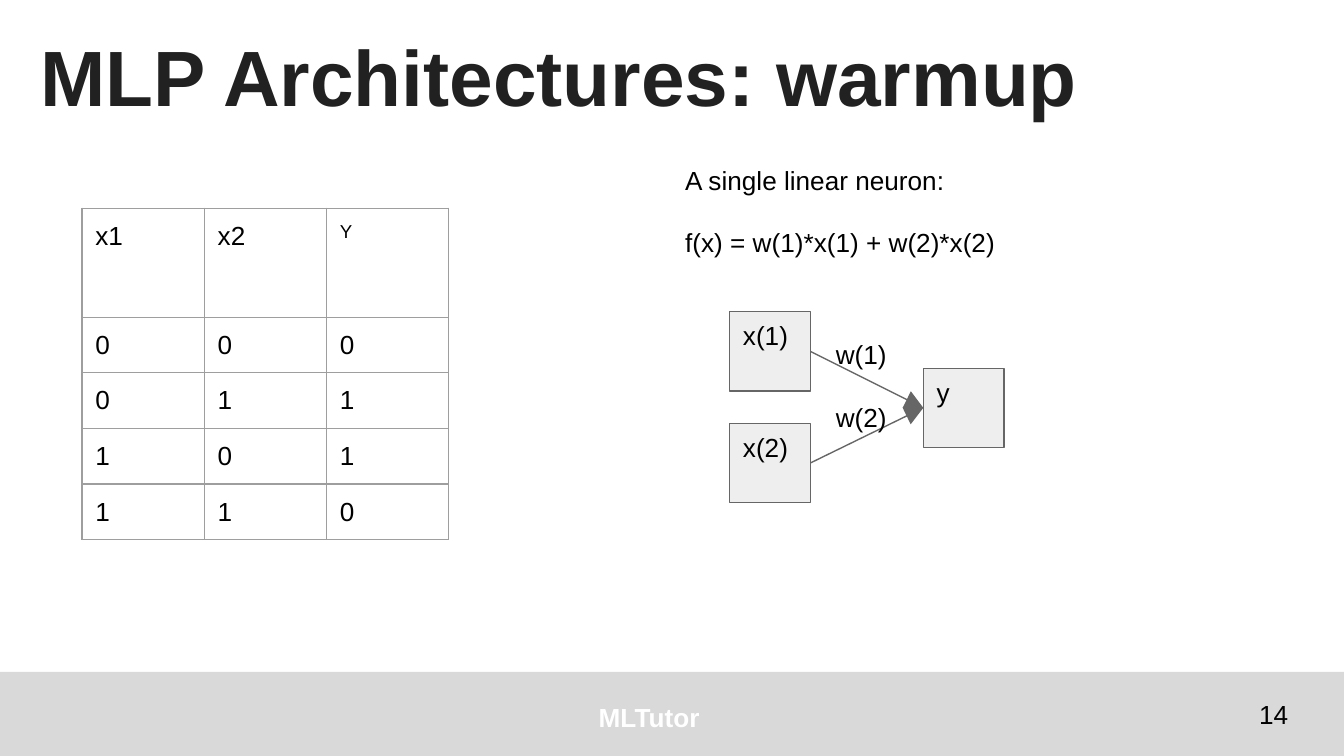
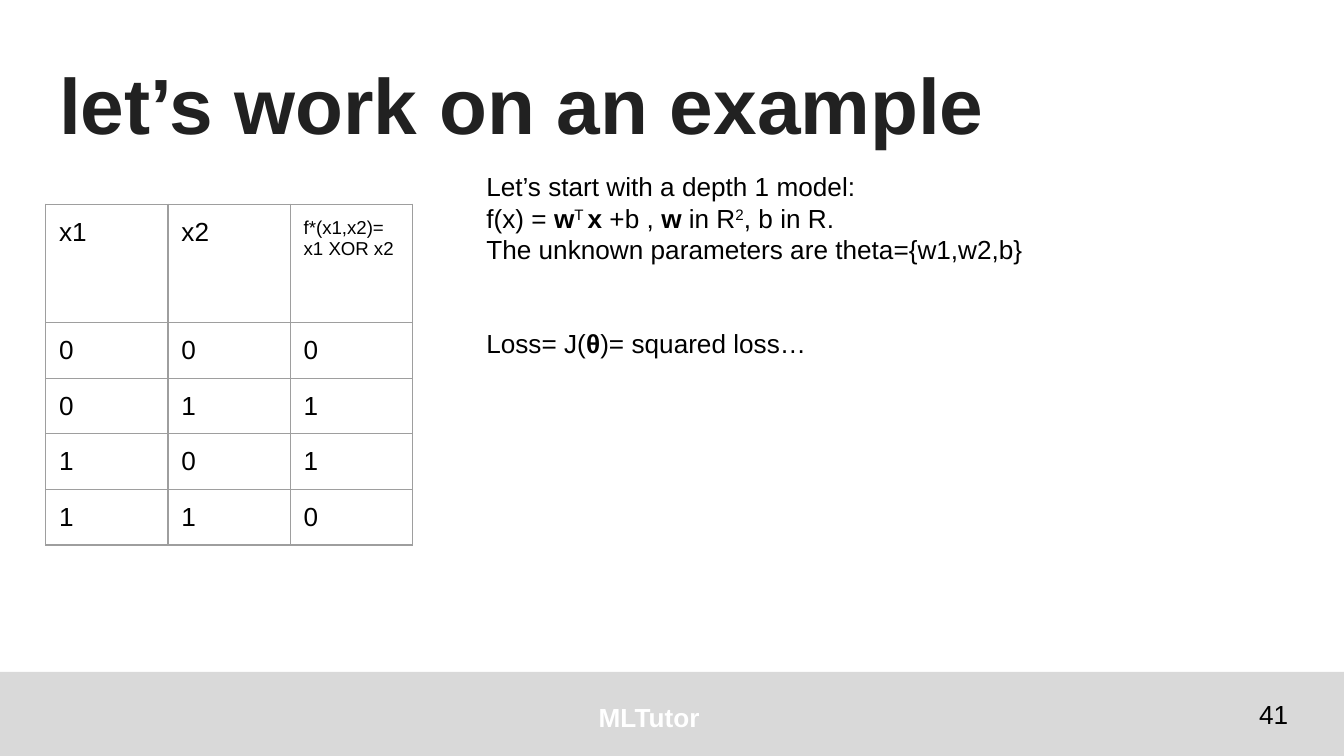
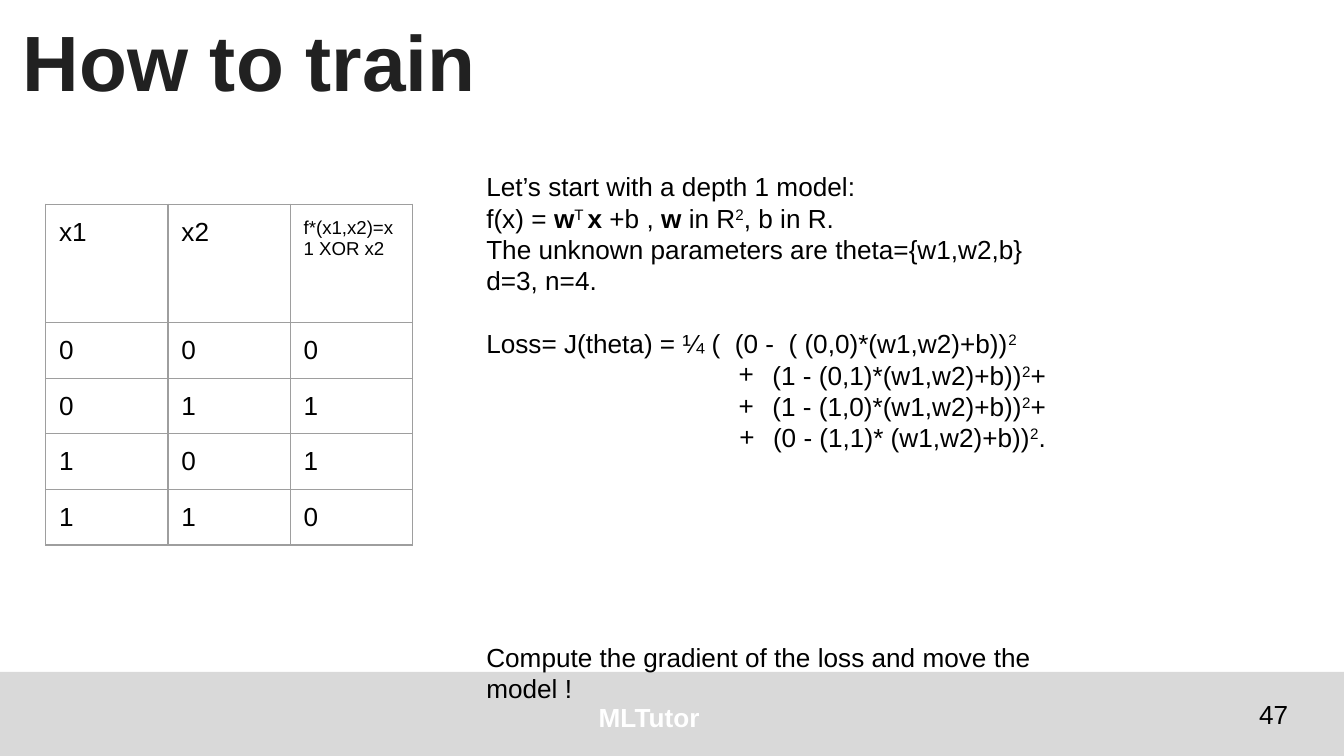
from dataclasses import dataclass

from lxml import etree
from pptx import Presentation
from pptx.dml.color import RGBColor
from pptx.enum.shapes import MSO_CONNECTOR as Connector, MSO_SHAPE as Preset
from pptx.enum.text import MSO_ANCHOR as Anchor, PP_ALIGN as Align
from pptx.oxml.ns import qn
from pptx.util import Inches, Pt

COLORS = {
    "band": "D9D9D9", "brand": "FFFFFF", "title": "212121", "text": "000000",
    "neuron": "EEEEEE", "edge": "666666", "grid": "9E9E9E",
}
FONT = "Arial"
BLANK_LINE = 16.8  # points taken by one skipped line
TITLE_ONLY = 5
SUP = {"baseline": 30000}
BOLD = {"bold": True}


@dataclass
class Line:
    runs: list
    skip: int = 0  # lines left open above
    bullet: str = ""


def color(name):
    return RGBColor.from_string(COLORS[name])


# ---- Text ----
def add_bullet(paragraph, char, size):
    props = paragraph._p.get_or_add_pPr()
    props.set("marL", str(Inches(0.5)))
    props.set("indent", str(Inches(-0.25)))
    etree.SubElement(props, qn("a:buSzPts"), val=str(size * 100))
    etree.SubElement(props, qn("a:buFont"), typeface=FONT)
    etree.SubElement(props, qn("a:buChar"), char=char)


def add_run(paragraph, text, size, tone, bold=False, baseline=0):
    run = paragraph.add_run()
    run.text = text
    for name, value in {"name": FONT, "size": Pt(size), "bold": bold}.items():
        setattr(run.font, name, value)
    run.font.color.rgb = color(tone)
    if baseline:
        run._r.get_or_add_rPr().set("baseline", str(baseline))


def write(frame, lines, size=14, tone="text", bold=False, align=Align.LEFT,
          anchor=Anchor.TOP, top=0.1):
    """Fill a frame; a line is a string or a Line, a run a string or (text, style)."""
    layout = {"word_wrap": True, "vertical_anchor": anchor, "margin_top": Inches(top)}
    layout.update({f"margin_{side}": Inches(0.1) for side in ("left", "right", "bottom")})
    for name, value in layout.items():
        setattr(frame, name, value)
    for index, line in enumerate(lines):
        if isinstance(line, str):
            line = Line([line])
        paragraph = frame.add_paragraph() if index else frame.paragraphs[0]
        paragraph.alignment = Align.RIGHT if line.bullet else align
        if line.skip:
            paragraph.space_before = Pt(BLANK_LINE * line.skip)
        if line.bullet:
            add_bullet(paragraph, line.bullet, size)
        for run in line.runs:
            text, style = (run, {}) if isinstance(run, str) else run
            add_run(paragraph, text, size, tone, **{"bold": bold, **style})


def add_text(slide, box, lines, **style):
    text_box = slide.shapes.add_textbox(*map(Inches, box))
    write(text_box.text_frame, lines, **style)
    return text_box


# ---- Shapes ----
def add_rectangle(slide, box, fill, edge=None):
    rectangle = slide.shapes.add_shape(Preset.RECTANGLE, *map(Inches, box))
    rectangle.shadow.inherit = False
    rectangle.fill.solid()
    rectangle.fill.fore_color.rgb = color(fill)
    if edge:
        rectangle.line.color.rgb = color(edge)
        rectangle.line.width = Pt(0.75)
    else:
        rectangle.line.fill.background()
    return rectangle


def add_arrow(slide, source, target):
    arrow = slide.shapes.add_connector(Connector.STRAIGHT, 0, 0, 0, 0)
    arrow.begin_connect(source, 3)
    arrow.end_connect(target, 1)
    arrow.line.color.rgb = color("edge")
    arrow.line.width = Pt(0.75)
    etree.SubElement(arrow.line._get_or_add_ln(), qn("a:tailEnd"),
                     type="triangle", w="lg", len="lg")
    etree.SubElement(arrow._element.spPr, qn("a:effectLst"))


# ---- Shared slide parts ----
def add_footer(layout, slide):
    """Place the band and course name on the layout."""
    band = add_rectangle(slide, (0, 5, 10, 0.63), "band")
    course = add_text(slide, (4, 5.12, 1.66, 0.4), ["MLTutor"],
                      tone="brand", bold=True, align=Align.CENTER)
    for part in (band, course):
        layout.shapes.element.append(part._element)


def start_slide(deck, title, left, top, number):
    slide = deck.slides.add_slide(deck.slide_layouts[TITLE_ONLY])
    heading = slide.shapes.title
    place = {"left": left, "top": top, "width": 9.32, "height": 0.88}
    for name, value in place.items():
        setattr(heading, name, Inches(value))
    write(heading.text_frame, [title], size=42, tone="title", bold=True)
    add_text(slide, (9.27, 5.1, 0.6, 0.43), [str(number)], anchor=Anchor.MIDDLE)
    return slide


# ---- Truth table ----
def add_borders(cell):
    props = cell._tc.get_or_add_tcPr()
    for side in "LRTB":
        border = etree.SubElement(props, qn(f"a:ln{side}"), w=str(Pt(0.75)))
        fill = etree.SubElement(border, qn("a:solidFill"))
        etree.SubElement(fill, qn("a:srgbClr"), val=COLORS["grid"])


def add_truth_table(slide, left, top, header_height, result_lines):
    heights = [header_height] + [0.38] * 4
    width = 0.91
    box = (left, top, 3 * width, sum(heights))
    table = slide.shapes.add_table(5, 3, *map(Inches, box)).table
    table.first_row = table.horz_banding = False
    for column in table.columns:
        column.width = Inches(width)
    for row, height in zip(table.rows, heights):
        row.height = Inches(height)

    inputs = [(a, b) for a in (0, 1) for b in (0, 1)]
    rows = [[["x1"], ["x2"], result_lines]]
    rows += [[[str(value)] for value in (a, b, a ^ b)] for a, b in inputs]
    for r, row in enumerate(rows):
        for c, lines in enumerate(row):
            cell = table.cell(r, c)
            add_borders(cell)
            cell.fill.background()
            write(cell.text_frame, lines, size=10 if (r, c) == (0, 2) else 14)
            cell.margin_top, cell.margin_bottom = Inches(0.1), Inches(0.08)


# ---- Neuron diagram ----
def add_neuron_diagram(slide, left, top):
    def add_neuron(label, dx, dy):
        neuron = add_rectangle(slide, (left + dx, top + dy, 0.6, 0.59), "neuron", "edge")
        write(neuron.text_frame, [label], top=0.06)
        return neuron

    inputs = [add_neuron("x(1)", 0, 0), add_neuron("x(2)", 0, 0.83)]
    output = add_neuron("y", 1.44, 0.42)
    for neuron in inputs:
        add_arrow(slide, neuron, output)
    add_text(slide, (left + 0.69, top + 0.1, 1.12, 1.07),
             ["w(1)", Line(["w(2)"], skip=1)])


# ---- Slides ----
MODEL = [
    "Let’s start with a depth 1 model:",
    Line(["f(x) = ", ("w", BOLD), ("T ", SUP), ("x", BOLD), " +b , ", ("w", BOLD),
          " in R", ("2", SUP), ", b in R."]),
    "The unknown parameters are theta={w1,w2,b}",
]


def build_warmup(deck):
    slide = start_slide(deck, "MLP Architectures: warmup", 0.2, 0.11, 14)
    add_neuron_diagram(slide, 5.43, 2.32)
    add_text(slide, (5, 1.12, 3.53, 1.07),
             ["A single linear neuron:", Line(["f(x) = w(1)*x(1) + w(2)*x(2)"], skip=1)])
    add_truth_table(slide, 0.61, 1.55, 0.81, ["Y"])
    return slide


def build_example(deck):
    slide = start_slide(deck, "let’s work on an example", 0.34, 0.32, 41)
    add_truth_table(slide, 0.34, 1.52, 0.88, ["f*(x1,x2)=", "x1 XOR x2"])
    loss = Line(["Loss= J(", ("θ", BOLD), ")= squared loss…"], skip=2)
    add_text(slide, (3.52, 1.17, 5.95, 3.34), MODEL + [loss])


def build_training(deck):
    slide = start_slide(deck, "How to train", 0.07, 0, 47)
    add_truth_table(slide, 0.34, 1.52, 0.88, ["f*(x1,x2)=x1 XOR x2"])
    terms = [("(1 - (0,1)*(w1,w2)+b))", "+"), ("(1 - (1,0)*(w1,w2)+b))", "+"),
             ("(0 - (1,1)* (w1,w2)+b))", ".")]
    loss = [Line(["Loss= J(theta) = ¼ (  (0 -  ( (0,0)*(w1,w2)+b))", ("2", SUP)], skip=1)]
    loss += [Line([term, ("2", SUP), end], bullet="+") for term, end in terms]
    step = Line(["Compute the gradient of the loss and move the model !"], skip=6)
    add_text(slide, (3.52, 1.17, 4.36, 3.34), MODEL + ["d=3, n=4."] + loss + [step])


def main():
    deck = Presentation()
    deck.slide_width = Inches(10)
    deck.slide_height = deck.slide_width * 9 // 16
    warmup = build_warmup(deck)
    add_footer(deck.slide_layouts[TITLE_ONLY], warmup)
    build_example(deck)
    build_training(deck)
    deck.save("out.pptx")


if __name__ == "__main__":
    main()
